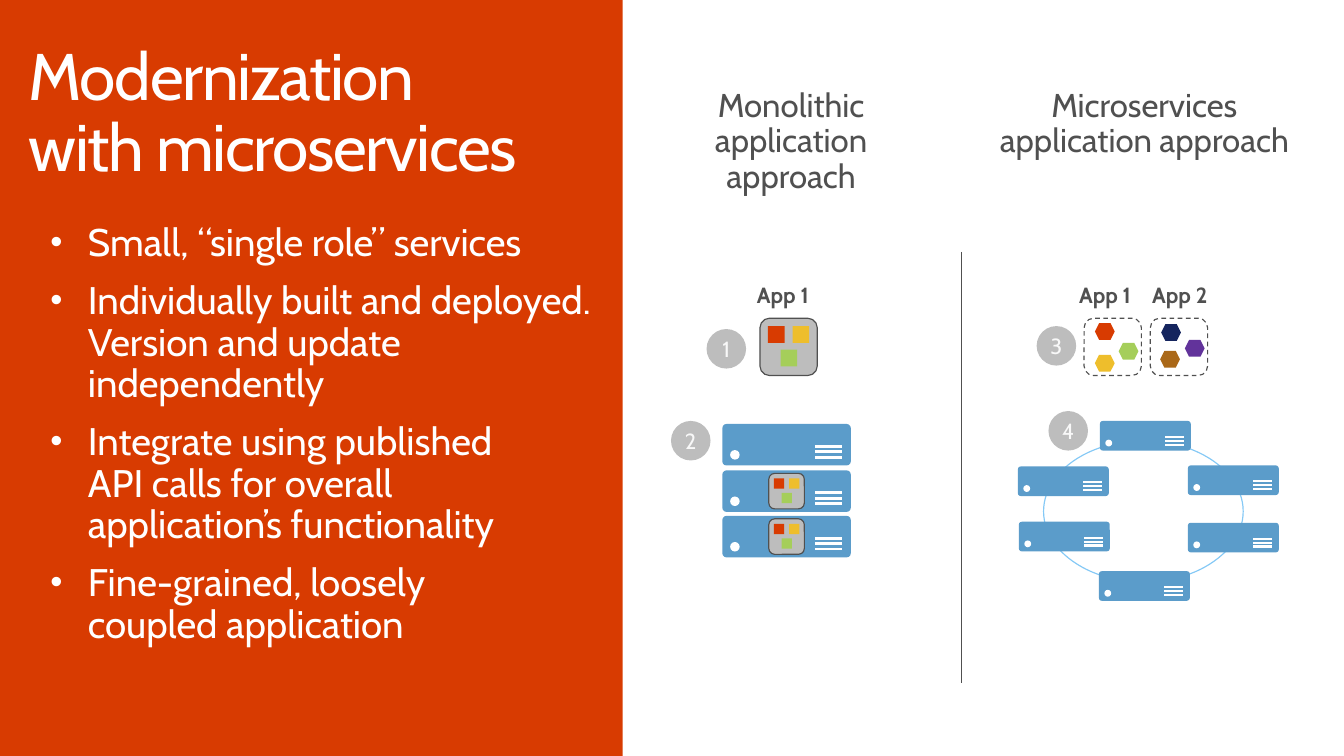
from dataclasses import dataclass

import pptx
import pptx.dml.color
import pptx.enum.dml
import pptx.enum.shapes
import pptx.enum.text
import pptx.oxml
import pptx.oxml.ns
import pptx.util

SCALE = 9144  # EMU in one px, 100 px to the inch
KIND = pptx.enum.shapes.MSO_SHAPE
ALIGN = pptx.enum.text.PP_ALIGN
ANCHOR = pptx.enum.text.MSO_ANCHOR
NS = pptx.oxml.ns.nsdecls("a")


@dataclass(frozen=True)
class Theme:
    font: str = "Cabin"
    red: str = "D83B01"
    white: str = "FFFFFF"
    pale: str = "F8F8F8"
    ink: str = "505050"
    gray: str = "BDBDBD"
    blue: str = "5B9CCA"
    sky: str = "85C9F6"
    gold: str = "EEBE2C"
    green: str = "A5CE5A"
    brown: str = "AA6818"
    plum: str = "62339B"
    navy: str = "15255E"
    title: int = 48
    list: int = 28
    head: int = 24
    label: int = 16
    thin: float = 0.85


def px(size):
    return pptx.util.Emu(round(size * SCALE))


def rgb(code):
    return pptx.dml.color.RGBColor.from_string(code)


def write(frame, text, *, font, size, color, bold=None, align=ALIGN.LEFT,
          anchor=ANCHOR.TOP, inset=(0, 0), lead=0.9, before=0, after=0,
          track=None, bullet=False):
    """Fill a frame; each line of text is a paragraph, \\v breaks a line."""
    frame.word_wrap = True
    frame.auto_size = pptx.enum.text.MSO_AUTO_SIZE.NONE
    frame.vertical_anchor = anchor
    frame.margin_left = frame.margin_right = px(inset[0])
    frame.margin_top = frame.margin_bottom = px(inset[1])
    for i, line in enumerate(text.split("\n")):
        para = frame.add_paragraph() if i else frame.paragraphs[0]
        para.text = line
        if bullet:
            props = para._p.get_or_add_pPr()
            props.set("marL", str(px(38)))
            props.set("indent", str(-px(38)))
            for tag in ('buSzPct {} val="90000"', 'buFont {} typeface="Arial"',
                        'buChar {} char="•"'):
                props.append(pptx.oxml.parse_xml(f"<a:{tag.format(NS)}/>"))
        para.alignment = align
        para.line_spacing = lead
        para.space_before = pptx.util.Pt(before if i else 0)
        para.space_after = pptx.util.Pt(after)
        for run in para.runs:
            run.font.name = font
            run.font.size = pptx.util.Pt(size)
            run.font.bold = bold
            run.font.color.rgb = rgb(color)
            if track:
                run._r.get_or_add_rPr().set("spc", str(track * 100))


class Board:
    def __init__(self, deck, theme):
        self.theme = theme
        self.slide = deck.slides.add_slide(deck.slide_layouts[1])
        self.shapes = self.slide.shapes
        fill = self.slide.background.fill
        fill.solid()
        fill.fore_color.rgb = rgb(theme.red)

    def group(self):
        """Send the shapes that follow into a new group."""
        self.shapes = self.slide.shapes.add_group_shape().shapes

    def leave(self):
        """Send the shapes that follow to the slide again."""
        self.shapes = self.slide.shapes

    def holder(self, index, box, text, **style):
        spot = self.slide.placeholders[index]
        spot.left, spot.top, spot.width, spot.height = map(px, box)
        write(spot.text_frame, text, font=self.theme.font,
              color=self.theme.white, **style)

    def text(self, box, text, **style):
        note = self.shapes.add_textbox(*map(px, box))
        write(note.text_frame, text, font=self.theme.font,
              color=self.theme.ink, after=6, **style)

    def shape(self, kind, box, fill=None, line=None, dash=False):
        item = self.shapes.add_shape(kind, *map(px, box))
        item.shadow.inherit = False
        if fill:
            item.fill.solid()
            item.fill.fore_color.rgb = rgb(fill)
        else:
            item.fill.background()
        if line:
            item.line.color.rgb = rgb(line)
            item.line.width = pptx.util.Pt(self.theme.thin)
        else:
            item.line.fill.background()
        if dash:
            item.line.dash_style = pptx.enum.dml.MSO_LINE.DASH
        return item

    def line(self, x1, y1, x2, y2, color, width):
        rule = self.shapes.add_connector(
            pptx.enum.shapes.MSO_CONNECTOR.STRAIGHT, *map(px, (x1, y1, x2, y2)))
        rule.line.color.rgb = rgb(color)
        rule.line.width = pptx.util.Pt(width)
        rule._element.spPr.append(pptx.oxml.parse_xml(f"<a:effectLst {NS}/>"))

    def server(self, x, y, w, h, stroke):
        white = self.theme.white
        body = self.shape(KIND.ROUNDED_RECTANGLE, (x, y, w, h), self.theme.blue)
        body.adjustments[0] = 0.1
        dot = 0.23 * h
        self.shape(KIND.OVAL, (x + 0.06 * w, y + 0.63 * h, dot, dot), white)
        for part in (0.54, 0.67, 0.8):
            level = y + part * h
            self.line(x + 0.72 * w, level, x + 0.93 * w, level, white, stroke)

    def app(self, x, y, size):
        """Draw a single app holding three square parts."""
        t = self.theme
        self.shape(KIND.ROUNDED_RECTANGLE, (x, y, size, size), t.gray, t.ink)
        side = 0.29 * size
        for dx, dy, color in ((0.14, 0.14, t.red), (0.57, 0.14, t.gold),
                              (0.36, 0.55, t.green)):
            self.shape(KIND.RECTANGLE,
                       (x + dx * size, y + dy * size, side, side), color)

    def badge(self, x, y, text):
        disc = self.shape(KIND.OVAL, (x, y, 40, 40), self.theme.gray)
        write(disc.text_frame, text, font=self.theme.font,
              size=self.theme.label, color=self.theme.pale, align=ALIGN.CENTER,
              anchor=ANCHOR.MIDDLE, inset=(0, 5), lead=1)

    def label(self, x, text):
        self.text((x, 288, 74, 24), text, size=self.theme.label, bold=True)

    def head(self, x, width, text):
        self.text((x, 74, width, 141), text, size=self.theme.head,
                  align=ALIGN.CENTER, inset=(20, 16))


def main():
    deck = pptx.Presentation()
    deck.slide_width, deck.slide_height = px(1360), px(765)
    t = Theme()
    board = Board(deck, t)
    board.holder(0, (13, 34, 600, 165), "Modernization\vwith microservices",
                 size=t.title, inset=(16, 10), track=-1)
    board.holder(1, (35, 216, 583, 452), "\n".join((
        "Small, “single role” services",
        "Individually built and deployed. Version and update independently",
        "Integrate using published\vAPI calls for overall application’s functionality",
        "Fine-grained, loosely\vcoupled application",
    )), size=t.list, inset=(16, 10), before=12, bullet=True)
    board.shape(KIND.RECTANGLE, (630, 0, 730, 765), t.white)
    board.head(638, 325, "Monolithic application approach")
    board.head(983, 350, "Microservices application approach")
    board.line(973, 255, 973, 691, t.ink, 1.25)

    board.label(766, "App 1")
    board.group()
    board.app(769, 322, 58)
    for top, full in ((429, False), (476, True), (522, True)):
        board.group()
        board.server(731, top, 130, 42, 2)
        if full:
            board.app(778, top + 3, 36)

    board.group()
    board.shape(KIND.OVAL, (1056, 446, 202, 143), line=t.sky)
    for x, y in ((1113, 426), (1202, 471), (1202, 529),
                 (1112, 578), (1031, 528), (1030, 472)):
        board.server(x, y, 92, 30, 1.5)
    board.leave()

    for left, start, name, parts in (
            (1097, 1092, "App 1", ((1108, 327, t.red), (1132, 347, t.green),
                                   (1108, 359, t.gold))),
            (1164, 1166, "App 2", ((1175, 328, t.navy), (1199, 344, t.plum),
                                   (1174, 355, t.brown)))):
        board.shape(KIND.ROUNDED_RECTANGLE, (left, 322, 58, 58),
                    line=t.ink, dash=True)
        board.label(start, name)
        for x, y, color in parts:
            board.shape(KIND.HEXAGON, (x, y, 20, 17), color)

    for i, (x, y) in enumerate(((715, 333), (679, 426),
                                (1049, 330), (1061, 416)), 1):
        board.badge(x, y, str(i))
    deck.save("out.pptx")


if __name__ == "__main__":
    main()
